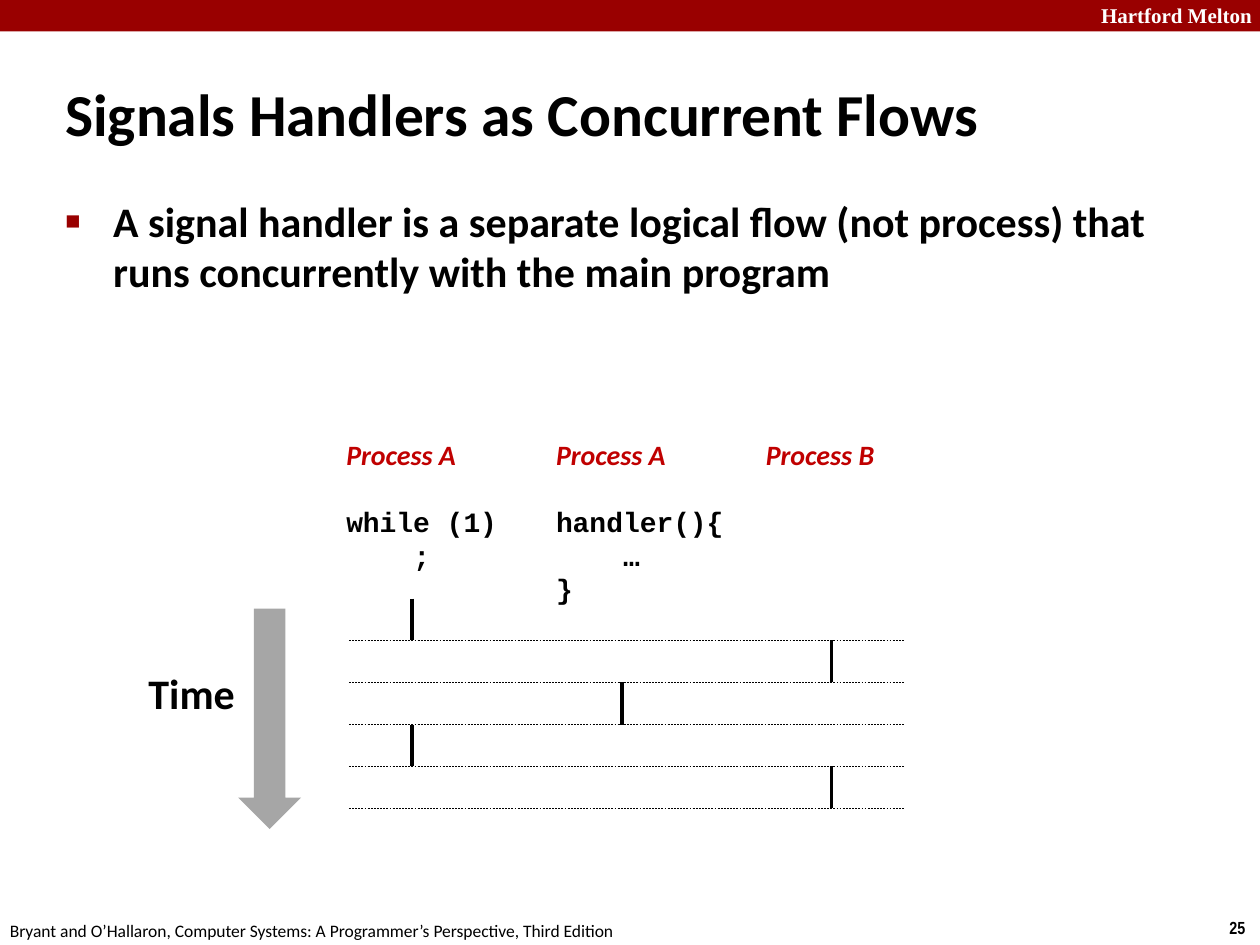
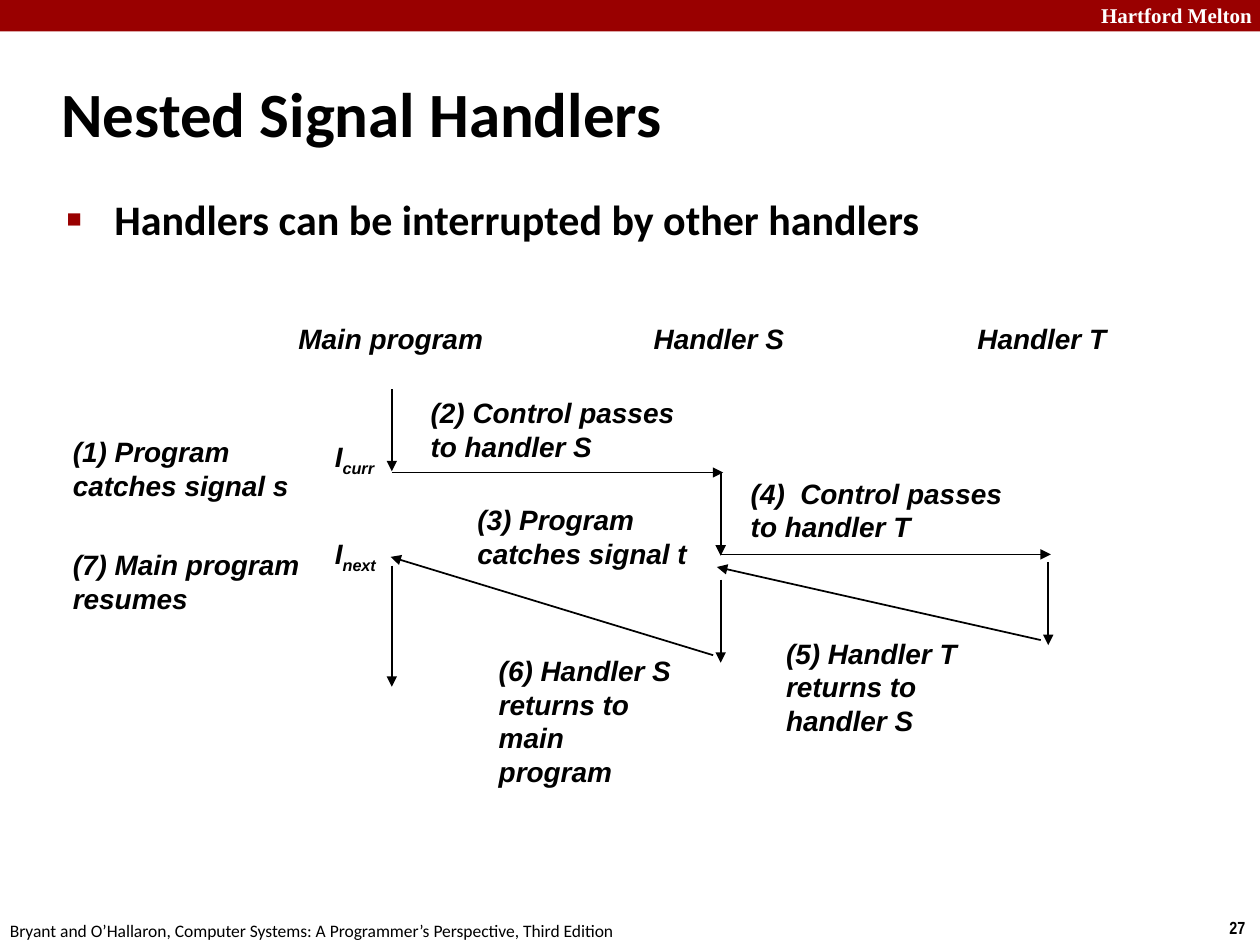
"""Build two lecture slides on signal handlers, laid out on a 100 by 75 grid."""
from lxml import etree
from pptx import Presentation, util as u
from pptx.dml.color import RGBColor
from pptx.enum import dml, shapes, text
from pptx.oxml import ns

COLORS = {"band": "990000", "ink": "000000", "paper": "FFFFFF",
          "process": "C00000", "arrow": "A6A6A6"}
COLS, ROWS = 100, 75


def add_xml(parent, tag, **attrs):
    return etree.SubElement(parent, ns.qn(tag), attrs)


class Deck:
    def __init__(self):
        self.prs = Presentation()
        self.prs.slide_width, self.prs.slide_height = u.Inches(10), u.Inches(7.5)
        self.s = None

    def x(self, cols):
        return round(self.prs.slide_width * cols / COLS)

    def y(self, rows):
        return round(self.prs.slide_height * rows / ROWS)

    def box(self, left, top, width, height):
        return self.x(left), self.y(top), self.x(width), self.y(height)

    def style(self, p, size, font="Calibri", color="ink", bold=True, italic=False):
        for r in p.runs:
            r.font.size, r.font.name = u.Pt(size), font
            r.font.bold, r.font.italic = bold, italic
            r.font.color.rgb = RGBColor.from_string(COLORS[color])

    def text(self, at, words, size, **look):
        tf = self.s.shapes.add_textbox(*self.box(*at)).text_frame
        tf.word_wrap = True
        tf.text = words
        for p in tf.paragraphs:
            self.style(p, size, **look)
        return tf

    def shape(self, kind, at, color):
        sp = self.s.shapes.add_shape(kind, *self.box(*at))
        sp.shadow.inherit = False
        sp.fill.solid()
        sp.fill.fore_color.rgb = RGBColor.from_string(COLORS[color])
        sp.line.fill.background()

    def line(self, x1, y1, x2, y2, width=1, dashed=False, arrow=False):
        c = self.s.shapes.add_connector(shapes.MSO_CONNECTOR.STRAIGHT, self.x(x1),
                                        self.y(y1), self.x(x2), self.y(y2))
        c.line.color.rgb = RGBColor.from_string(COLORS["ink"])
        c.line.width = u.Pt(width)
        if dashed:
            c.line.dash_style = dml.MSO_LINE.DASH
        if arrow:
            add_xml(c.line._get_or_add_ln(), "a:tailEnd", type="triangle")
        add_xml(c._element.spPr, "a:effectLst")

    def indent(self, p, left, first=0):
        pPr = p._p.get_or_add_pPr()
        pPr.set("marL", str(self.x(left)))
        pPr.set("indent", str(self.x(first)))
        return pPr

    def slide(self, title, left, size, number):
        self.s = self.prs.slides.add_slide(self.prs.slide_layouts[6])
        self.shape(shapes.MSO_SHAPE.RECTANGLE, (0, 0, COLS, 2.5), "band")
        self.text((86.4, -0.3, 14.3, 3), "Hartford Melton", 12,
                  font="Times New Roman", color="paper")
        self.text((96.6, 72.3, 3.4, 2.7), str(number), 10, font="Arial Narrow")
        self.text((-0.2, 72.5, 53, 2.7), "Bryant and O’Hallaron, Computer Systems: "
                  "A Programmer’s Perspective, Third Edition", 10, bold=False)
        tf = self.text((left, 4.8, 83, 8.3), title, size)
        tf.vertical_anchor = text.MSO_ANCHOR.MIDDLE

    def bullet(self, at, words):
        tf = self.text(at, words, 24)
        pPr = self.indent(tf.paragraphs[0], 3.8, -3.8)
        add_xml(add_xml(pPr, "a:buClr"), "a:srgbClr", val=COLORS["band"])
        add_xml(pPr, "a:buSzPct", val="60000")
        add_xml(pPr, "a:buFont", typeface="Arial")
        add_xml(pPr, "a:buChar", char="■")

    def process(self, left, name, code):
        tf = self.text((left, 34.2, 17, 14.4), "\n".join([name] + code), 16,
                       font="Courier New")
        self.style(tf.paragraphs[0], 16, color="process", italic=True)
        if code:
            tf.paragraphs[1].space_before = u.Pt(19.5)
            self.indent(tf.paragraphs[2], 5.33)

    def label(self, left, top, width, words, sub=""):
        tf = self.text((left, top, width, 3.7), words, 16, font="Arial", italic=True)
        if sub:
            p = tf.paragraphs[0]
            r = p.add_run()
            r.text = sub
            self.style(p, 16, font="Arial", italic=True)
            r._r.get_or_add_rPr().set("baseline", "-25000")


def concurrent_flows(d):
    d.slide("Signals Handlers as Concurrent Flows", 4.2, 34, 25)
    d.bullet((4.2, 15, 90.9, 14.2), "A signal handler is a separate logical flow "
             "(not process) that runs concurrently with the main program")
    gap, step, start = 16.65, 10 / 3, 47.5
    processes = [("Process A", ["while (1)", ";"]),
                 ("Process A", ["handler(){", "…", "}"]),
                 ("Process B", [])]
    for i, (name, code) in enumerate(processes):
        d.process(26.5 + i * gap, name, code)
    for k, running in enumerate([0, 2, 1, 0, 2]):
        top, center = start + k * step, 32.7 + running * gap
        d.line(center, top, center, top + step, width=2)
        d.line(27.7, top + step, 71.8, top + step, width=0.25, dashed=True)
    d.text((10.8, 52.5, 10, 5), "Time", 24)
    d.shape(shapes.MSO_SHAPE.DOWN_ARROW, (18.9, 48.3, 5, 17.5), "arrow")


def nested_handlers(d):
    d.slide("Nested Signal Handlers", 3.9, 36, 27)
    d.bullet((4.3, 14.9, 86.4, 6.8), "Handlers can be interrupted by other handlers")
    main, hand_s, hand_t = 31.1, 57.2, 83.2
    for left, name in [(22.7, "Main program"), (50.9, "Handler S"), (76.6, "Handler T")]:
        d.label(left, 25, 18, name)
    for flow in [(main, 30.9, main, 37.4), (main, 37.5, 57.4, 37.5),
                 (hand_s, 37.5, hand_s, 44.1), (hand_s, 44, 83.4, 44),
                 (hand_t, 44.6, hand_t, 51.2), (82.6, 50.8, 56.9, 45),
                 (hand_s, 46, hand_s, 52.6), (56.6, 52, 31, 44.2),
                 (main, 44.9, main, 54.5)]:
        d.line(*flow, arrow=True)
    for top, sub in [(34.4, "curr"), (42.1, "next")]:
        d.label(25.6, top, 7, "I", sub)
    for left, top, width, words in [
            (4.8, 34, 21, "(1) Program catches signal s"),
            (33.2, 30.9, 22.4, "(2) Control passes to handler S"),
            (36.9, 39.4, 20.3, "(3) Program catches signal t"),
            (58.6, 37.3, 23.1, "(4)  Control passes to handler T"),
            (61.4, 50, 16.2, "(5) Handler T\nreturns to handler S"),
            (38.6, 51.4, 16.2, "(6) Handler S\nreturns to main program"),
            (4.8, 43, 21, "(7) Main program resumes")]:
        d.label(left, top, width, words)


deck = Deck()
concurrent_flows(deck)
nested_handlers(deck)
deck.prs.save("out.pptx")
